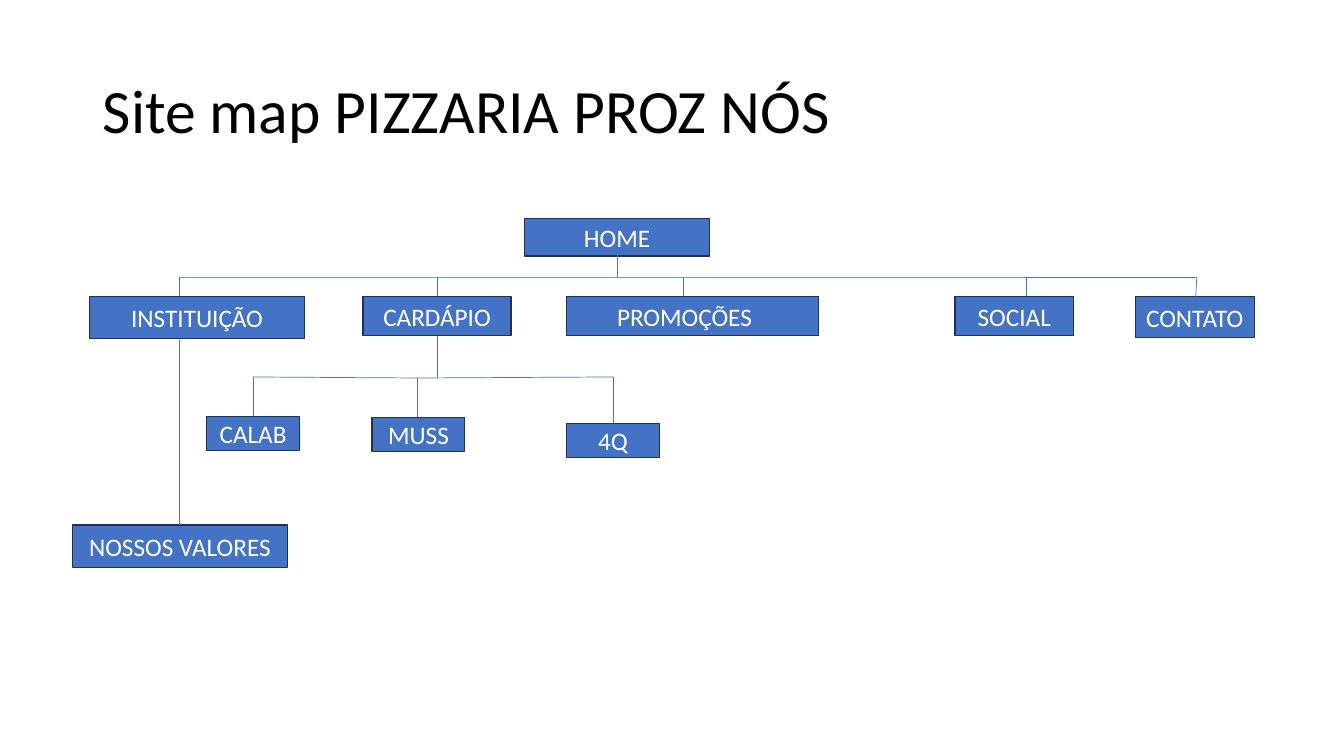
import pptx
import pptx.util
import pptx.dml.color
import pptx.enum.shapes
import pptx.enum.text
import pptx.oxml.ns
import lxml.etree

Inches = pptx.util.Inches
Pt = pptx.util.Pt

COLORS = {
    "title": "000000",
    "page": "4472C4",
    "page_border": "1E3256",
    "page_label": "FFFFFF",
    "branch": "4472C4",
    "trunk": "5B9BD5",
}
FONT = "Calibri"

# Label, left, top, width, height
PAGES = [
    ("HOME", 5.2, 2.17, 1.84, 0.37),
    ("CARDÁPIO", 3.6, 2.94, 1.47, 0.39),
    ("INSTITUIÇÃO", 0.89, 2.94, 2.13, 0.42),
    ("PROMOÇÕES\t", 5.62, 2.94, 2.5, 0.39),
    ("SOCIAL", 9.47, 2.94, 1.18, 0.39),
    ("CONTATO", 11.26, 2.94, 1.18, 0.41),
    ("CALAB", 2.05, 4.13, 0.92, 0.34),
    ("MUSS", 3.69, 4.14, 0.92, 0.34),
    ("4Q", 5.62, 4.2, 0.92, 0.34),
    ("NOSSOS VALORES", 0.72, 5.21, 2.13, 0.42),
]

TRUNK_Y = 2.75
SECTION_TOP = 2.94
SECTION_XS = [1.78, 4.34, 6.78, 10.18]
CONTACT_X = 11.86
MENU_X = 4.34
MENU_Y = 3.75
FLAVORS = [(2.51, 3.74, 4.13), (4.14, MENU_Y, 4.14), (6.08, 3.74, 4.2)]


def rgb(name):
    """Return the named palette colour."""
    return pptx.dml.color.RGBColor.from_string(COLORS[name])


def style_text(paragraph, size, color, alignment):
    """Format a whole paragraph."""
    paragraph.alignment = alignment
    paragraph.font.name = FONT
    paragraph.font.size = Pt(size)
    paragraph.font.color.rgb = rgb(color)


def set_title(slide, text):
    """Fill and place the title placeholder."""
    title = slide.shapes.title
    title.left, title.top = Inches(0.92), Inches(0.4)
    title.width, title.height = Inches(11.5), Inches(1.45)
    title.text_frame.text = text
    title.text_frame.vertical_anchor = pptx.enum.text.MSO_ANCHOR.MIDDLE
    heading = title.text_frame.paragraphs[0]
    heading.line_spacing = 0.9
    style_text(heading, 44, "title", pptx.enum.text.PP_ALIGN.LEFT)


def add_page(slide, label, left, top, width, height):
    """Add one page box of the site map."""
    page = slide.shapes.add_shape(
        pptx.enum.shapes.MSO_SHAPE.RECTANGLE,
        Inches(left), Inches(top), Inches(width), Inches(height))
    page.shadow.inherit = False
    page.fill.solid()
    page.fill.fore_color.rgb = rgb("page")
    page.line.color.rgb = rgb("page_border")
    page.line.width = Pt(1)
    page.text_frame.text = label
    page.text_frame.vertical_anchor = pptx.enum.text.MSO_ANCHOR.MIDDLE
    style_text(page.text_frame.paragraphs[0], 18, "page_label",
               pptx.enum.text.PP_ALIGN.CENTER)


def add_link(slide, start, end, color="branch"):
    """Add a thin straight line between two points."""
    link = slide.shapes.add_connector(
        pptx.enum.shapes.MSO_CONNECTOR.STRAIGHT,
        *[Inches(value) for value in (*start, *end)])
    link.line.color.rgb = rgb(color)
    link.line.width = Pt(0.5)
    properties = link.element.find(pptx.oxml.ns.qn("p:spPr"))
    lxml.etree.SubElement(properties, pptx.oxml.ns.qn("a:effectLst"))


def add_section_links(slide):
    """Link the home page to the sections."""
    first, last = SECTION_XS[0], SECTION_XS[-1]
    add_link(slide, (6.12, 2.53), (6.12, TRUNK_Y))
    add_link(slide, (first, TRUNK_Y), (last, TRUNK_Y), "trunk")
    add_link(slide, (last, TRUNK_Y), (CONTACT_X, TRUNK_Y))
    for x in SECTION_XS:
        add_link(slide, (x, TRUNK_Y), (x, SECTION_TOP))
    add_link(slide, (11.87, TRUNK_Y), (CONTACT_X, SECTION_TOP))
    add_link(slide, (first, 5.21), (first, 3.35))


def add_menu_links(slide):
    """Link the menu section to its flavors."""
    add_link(slide, (MENU_X, 3.33), (MENU_X, MENU_Y))
    for x, joint_y, flavor_top in FLAVORS:
        add_link(slide, (x, joint_y), (x, flavor_top))
    for (x1, y1, _), (x2, y2, _) in zip(FLAVORS, FLAVORS[1:]):
        add_link(slide, (x1, y1), (x2, y2))


def main():
    """Build the site map slide."""
    deck = pptx.Presentation()
    deck.slide_width, deck.slide_height = Inches(13.33), Inches(7.5)
    slide = deck.slides.add_slide(deck.slide_layouts[5])
    set_title(slide, "Site map PIZZARIA PROZ NÓS")
    for page in PAGES:
        add_page(slide, *page)
    add_section_links(slide)
    add_menu_links(slide)
    deck.save("out.pptx")


main()
